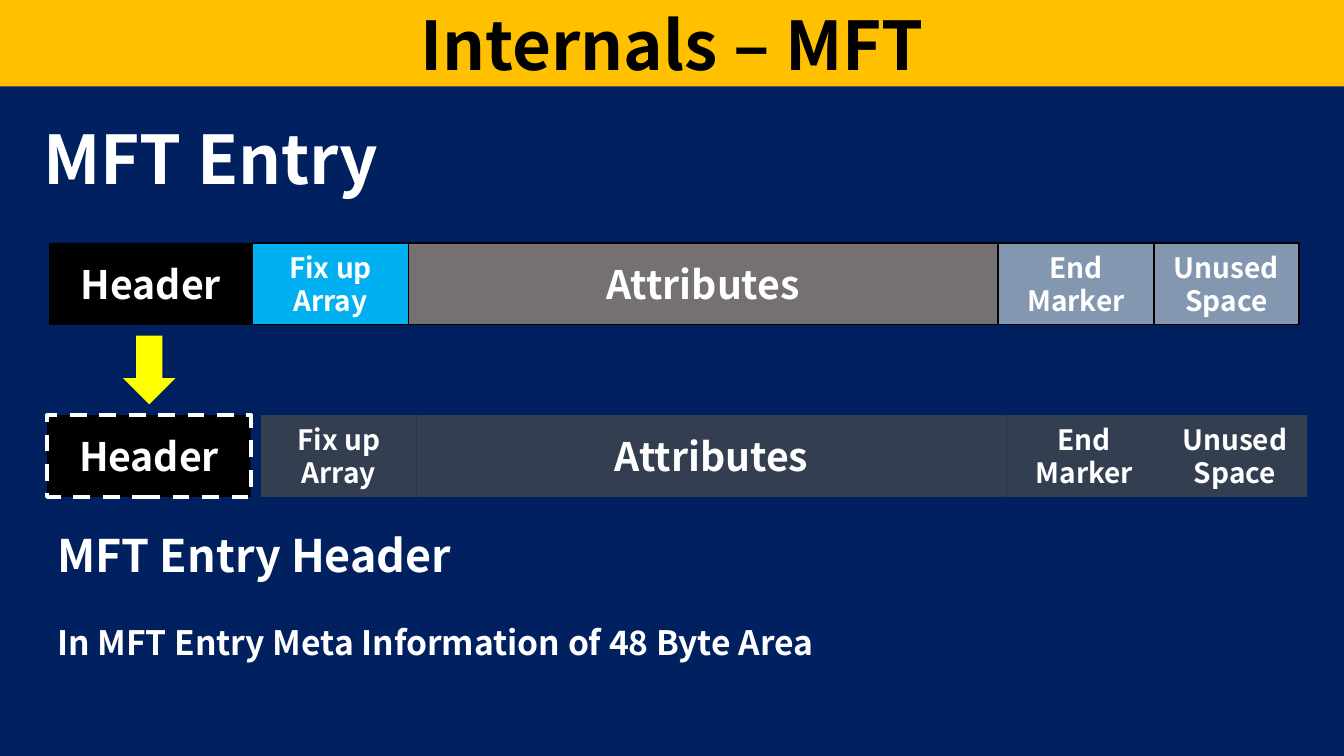
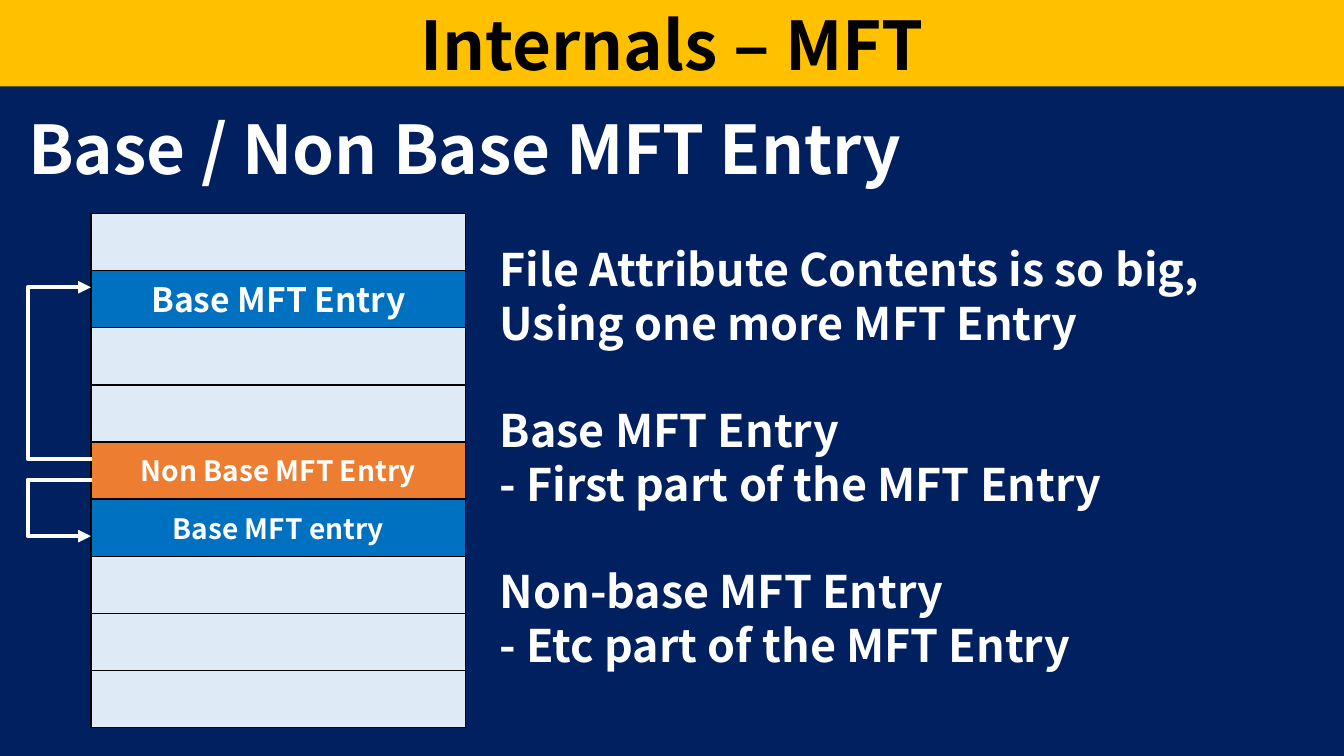
"""Build two slides about MFT entries and their layout."""
from lxml.etree import SubElement
from pptx import Presentation
from pptx.dml.color import RGBColor
from pptx.enum.dml import MSO_LINE
from pptx.enum.shapes import MSO_CONNECTOR, MSO_SHAPE
from pptx.enum.text import MSO_ANCHOR, MSO_AUTO_SIZE, PP_ALIGN
from pptx.oxml.ns import qn
from pptx.util import Cm, Pt

FONT = "Noto Sans CJK KR"
NAVY = RGBColor(0x00, 0x20, 0x60)
AMBER = RGBColor(0xFF, 0xC0, 0x00)
WHITE = RGBColor(0xFF, 0xFF, 0xFF)
BLACK = RGBColor(0x00, 0x00, 0x00)
YELLOW = RGBColor(0xFF, 0xFF, 0x00)
SKY = RGBColor(0x00, 0xB0, 0xF0)
GRAY = RGBColor(0x76, 0x71, 0x71)
STEEL = RGBColor(0x84, 0x97, 0xB0)
SLATE = RGBColor(0x33, 0x3F, 0x50)
BLUE = RGBColor(0x00, 0x70, 0xC0)
ORANGE = RGBColor(0xED, 0x7D, 0x31)
PALE = RGBColor(0xDE, 0xEB, 0xF7)


def add_run(p, text, size, color=WHITE):
    r = p.add_run()
    r.text = text
    r.font.name = FONT
    r.font.size = Pt(size)
    r.font.bold = True
    r.font.color.rgb = color


def add_block(s, kind, x, y, w, h, fill, text="", size=20, line=None, weight=1):
    sp = s.shapes.add_shape(kind, Cm(x), Cm(y), Cm(w), Cm(h))
    sp.shadow.inherit = False
    sp.fill.solid()
    sp.fill.fore_color.rgb = fill
    if line is None:
        sp.line.fill.background()
    else:
        sp.line.color.rgb = line
        sp.line.width = Pt(weight)
    if text:
        p = sp.text_frame.paragraphs[0]
        p.alignment = PP_ALIGN.CENTER
        add_run(p, text, size)
    return sp


prs = Presentation()
prs.slide_width, prs.slide_height = Cm(33.87), Cm(19.05)
bg = prs.slide_master.background.fill
bg.solid()
bg.fore_color.rgb = NAVY

pages = [
    ("MFT Entry", (0.84, 2.82, 8.97, 2.31), (1.19, 13.16, 25.2, 3.68),
     [("MFT Entry Header", 32, 0),
      ("In MFT Entry Meta Information of 48 Byte Area", 24, 29)]),
    ("Base / Non Base MFT Entry", (0.46, 2.59, 23.09, 2.31), (12.34, 5.97, 19.43, 11.2),
     [("File Attribute Contents is so big, Using one more MFT Entry", 32, 0),
      ("Base MFT Entry", 32, 38),
      ("- First part of the MFT Entry", 32, 0),
      ("Non-base MFT Entry", 32, 38),
      ("- Etc part of the MFT Entry", 32, 0)]),
]

for heading, heading_box, body_box, lines in pages:
    s = prs.slides.add_slide(prs.slide_layouts[1])

    title = s.shapes.title
    title.left, title.top, title.width, title.height = 0, 0, prs.slide_width, Cm(2.18)
    title.fill.solid()
    title.fill.fore_color.rgb = AMBER
    tf = title.text_frame
    tf.auto_size = MSO_AUTO_SIZE.NONE
    tf.vertical_anchor = MSO_ANCHOR.MIDDLE
    tf.margin_top = tf.margin_bottom = 0
    tf.paragraphs[0].alignment = PP_ALIGN.CENTER
    add_run(tf.paragraphs[0], "Internals – MFT", 48, BLACK)

    tb = s.shapes.add_textbox(*map(Cm, heading_box))
    add_run(tb.text_frame.paragraphs[0], heading, 48)

    body = s.placeholders[1]
    body.left, body.top, body.width, body.height = map(Cm, body_box)
    tf = body.text_frame
    tf.auto_size = MSO_AUTO_SIZE.NONE
    for i, (text, size, gap) in enumerate(lines):
        p = tf.add_paragraph() if i else tf.paragraphs[0]
        p.space_before = Pt(gap)
        pPr = p._p.get_or_add_pPr()
        pPr.set("marL", "0")
        pPr.set("indent", "0")
        SubElement(pPr, qn("a:buNone"))
        add_run(p, text, size)

s = prs.slides[0]
fields = [
    ("Fix up Array", 3.92, 20, SKY),
    ("Attributes", 14.86, 28, GRAY),
    ("End Marker", 3.93, 20, STEEL),
    ("Unused Space", 3.66, 20, STEEL),
]
HEADER_W, FIELD_H = 5.13, 2.06
ENTRY_Y, DETAIL_Y = 6.12, 10.46
add_block(s, MSO_SHAPE.RECTANGLE, 1.24, ENTRY_Y, HEADER_W, FIELD_H, BLACK,
          "Header", 28, BLACK, 0.25)
header = add_block(s, MSO_SHAPE.RECTANGLE, 1.19, DETAIL_Y, HEADER_W, FIELD_H, BLACK,
                   "Header", 28, WHITE, 3)
header.line.dash_style = MSO_LINE.DASH
for x, y, muted in [(6.37, ENTRY_Y, False), (6.58, DETAIL_Y, True)]:
    for text, w, size, fill in fields:
        add_block(s, MSO_SHAPE.RECTANGLE, x, y, w, FIELD_H, SLATE if muted else fill,
                  text, size, None if muted else BLACK)
        x += w
add_block(s, MSO_SHAPE.DOWN_ARROW, 3.1, 8.46, 1.32, 1.73, YELLOW)

s = prs.slides[1]
ROW_X, ROW_Y, ROW_W, ROW_H = 2.29, 5.38, 9.45, 1.44
entries = {
    1: ("Base MFT Entry", 24, BLUE),
    4: ("Non Base MFT Entry", 20, ORANGE),
    5: ("Base MFT entry", 20, BLUE),
}
for i in range(9):
    text, size, fill = entries.get(i, ("", 20, PALE))
    add_block(s, MSO_SHAPE.RECTANGLE, ROW_X, ROW_Y + i * ROW_H, ROW_W, ROW_H, fill,
              text, size, BLACK)

START_X, LOOP_X = 2.31, 0.7
for y1, y2 in [(11.56, 7.24), (12.09, 13.51)]:
    link = s.shapes.add_connector(MSO_CONNECTOR.ELBOW, Cm(START_X), Cm(y1), Cm(ROW_X), Cm(y2))
    link.line.color.rgb = WHITE
    link.line.width = Pt(3)
    SubElement(link.line._get_or_add_ln(), qn("a:tailEnd"), type="triangle")
    spPr = link._element.spPr
    SubElement(spPr, qn("a:effectLst"))
    bend = round((START_X - LOOP_X) / (START_X - ROW_X) * 100000)
    SubElement(spPr.find(qn("a:prstGeom")).get_or_add_avLst(), qn("a:gd"),
               name="adj1", fmla=f"val {bend}")

prs.save("out.pptx")
